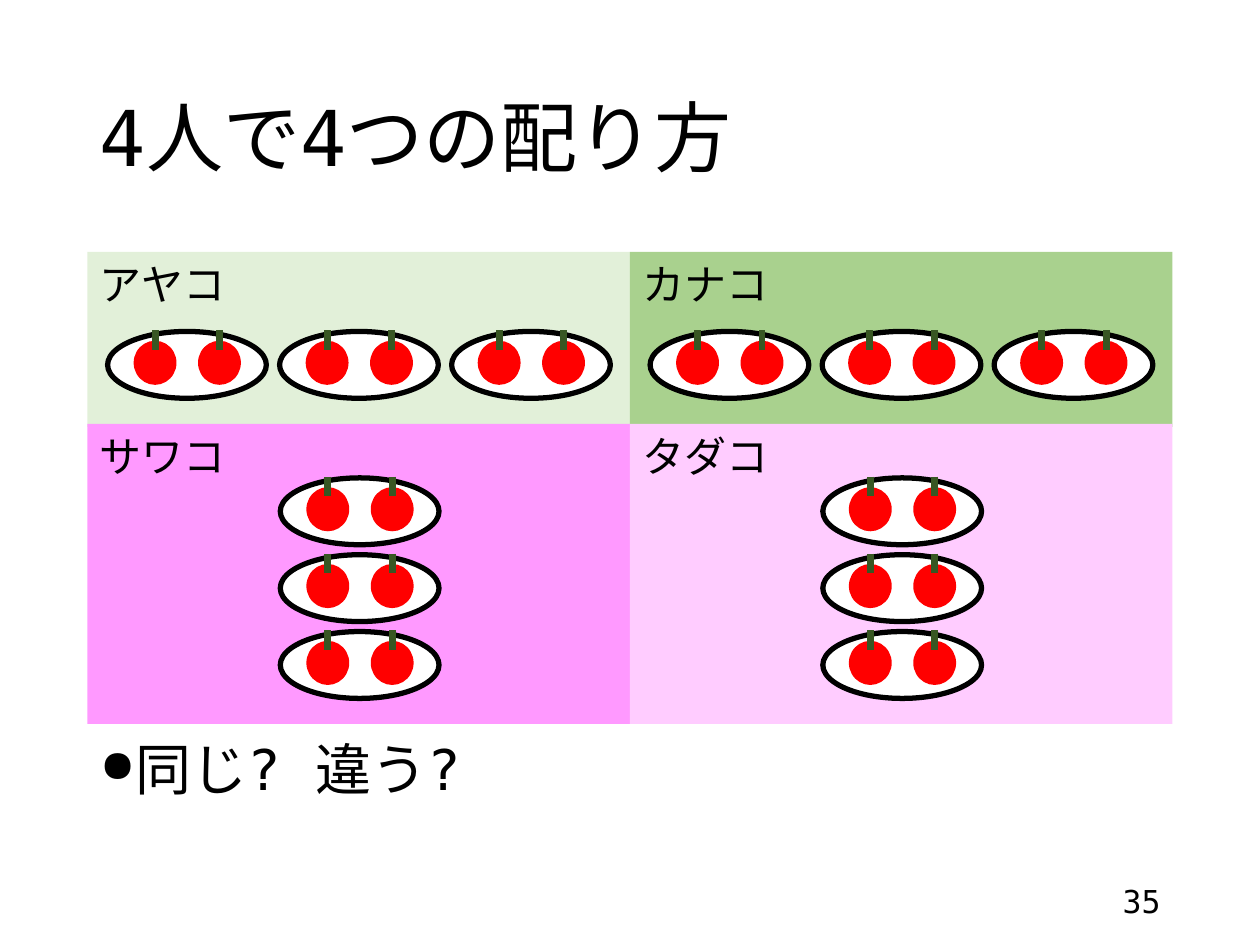
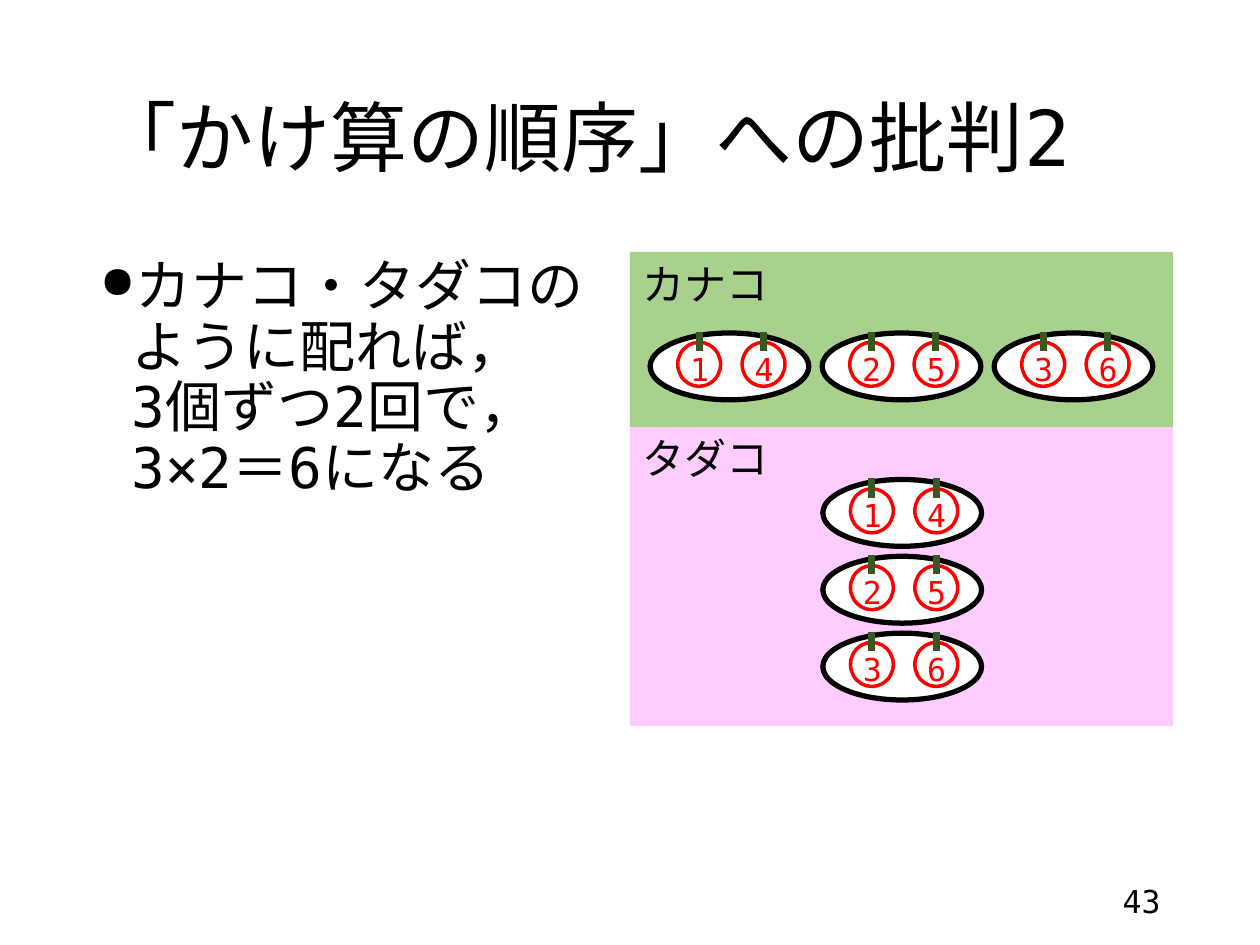
import pptx
import pptx.util
import pptx.dml.color
import pptx.enum.lang
import pptx.enum.shapes
import pptx.enum.text
import pptx.oxml
import pptx.oxml.ns

Pt = pptx.util.Pt
SHAPE = pptx.enum.shapes.MSO_SHAPE
ALIGN = pptx.enum.text.PP_ALIGN
ANCHOR = pptx.enum.text.MSO_ANCHOR

FONT = "DejaVu Sans Mono"
BLACK, WHITE, RED, STEM_GREEN = "000000", "FFFFFF", "FF0000", "385723"
MARGIN, CONTENT_WIDTH = 50, 620
PANEL_WIDTH = CONTENT_WIDTH / 2
PLATE_WIDTH, PLATE_HEIGHT = 90.7, 38.2
APPLE_WIDTH, APPLE_HEIGHT = 24.5, 25.2
APPLE_GAP = 36.8

# Panel layouts: column, top, height, first plate (x, y), step between plates
ROW = dict(top=144, height=100, first=(11.5, 45.4), step=(98.3, 0))
STACK = dict(top=242.2, height=171.4, first=(110.2, 30.9), step=(0, 43.9))

SLIDES = [
    dict(title="4人で4つの配り方", number="35",
         body="同じ? 違う?", body_top=420.5, body_height=73.4,
         numbered=False, shift=0,
         panels=[("アヤコ", "E2F0D9", 0, ROW), ("カナコ", "A9D18E", 1, ROW),
                 ("サワコ", "FF99FF", 0, STACK), ("タダコ", "FFCCFF", 1, STACK)]),
    dict(title="「かけ算の順序」への批判2", number="43",
         body="カナコ・タダコの\nように配れば，\n3個ずつ2回で，\n3×2＝6になる",
         body_top=144, body_height=342.7,
         numbered=True, shift=0.9,
         panels=[("タダコ", "FFCCFF", 1, STACK), ("カナコ", "A9D18E", 1, ROW)]),
]


def rgb(color):
    return pptx.dml.color.RGBColor.from_string(color)


def add_text(shapes, text, left, top, width, height, *, size, color=BLACK,
             align=ALIGN.LEFT, anchor=ANCHOR.TOP, wrap=True, spacing=None, bullet=False):
    box = shapes.add_textbox(Pt(left), Pt(top), Pt(width), Pt(height))
    frame = box.text_frame
    frame.word_wrap = wrap
    frame.vertical_anchor = anchor
    para = frame.paragraphs[0]
    para.text = text
    para.alignment = align
    if spacing:
        para.line_spacing = spacing
    if bullet:
        add_bullet(para)
    for span in para.runs:
        span.font.name = FONT
        span.font.size = Pt(size)
        span.font.color.rgb = rgb(color)
        span.font.language_id = pptx.enum.lang.MSO_LANGUAGE_ID.JAPANESE
        east_asian = pptx.oxml.parse_xml(
            f'<a:ea {pptx.oxml.ns.nsdecls("a")} typeface="{FONT}"/>')
        span.font._element.find(pptx.oxml.ns.qn("a:latin")).addnext(east_asian)


def add_bullet(para):
    properties = para._p.get_or_add_pPr()
    properties.set("marL", str(Pt(18)))
    properties.set("indent", str(-Pt(18)))
    for tag in ('buSzPct val="80000"', 'buChar char="●"'):
        properties.append(pptx.oxml.parse_xml(
            f'<a:{tag.replace(" ", " " + pptx.oxml.ns.nsdecls("a") + " ", 1)}/>'))


def add_figure(shapes, kind, left, top, width, height, fill=None, line=None, weight=1):
    figure = shapes.add_shape(kind, Pt(left), Pt(top), Pt(width), Pt(height))
    figure.shadow.inherit = False
    if fill:
        figure.fill.solid()
        figure.fill.fore_color.rgb = rgb(fill)
    else:
        figure.fill.background()
    if line:
        figure.line.color.rgb = rgb(line)
        figure.line.width = Pt(weight)
    else:
        figure.line.fill.background()


def add_stem(shapes, x, top, bottom):
    stem = shapes.add_connector(pptx.enum.shapes.MSO_CONNECTOR.STRAIGHT,
                                Pt(x), Pt(top), Pt(x), Pt(bottom))
    stem.line.color.rgb = rgb(STEM_GREEN)
    stem.line.width = Pt(4)
    stem._element.spPr.append(
        pptx.oxml.parse_xml(f'<a:effectLst {pptx.oxml.ns.nsdecls("a")}/>'))


def add_apple(shapes, left, plate_top, label):
    """Draw a solid apple, or an outlined one around its label."""
    top = plate_top + 5.3
    look = dict(line=RED, weight=2) if label else dict(fill=RED)
    add_figure(shapes, SHAPE.OVAL, left, top, APPLE_WIDTH, APPLE_HEIGHT, **look)
    add_stem(shapes, left + APPLE_WIDTH / 2, plate_top - 0.7, plate_top + 10.4)
    if label:
        add_text(shapes, label, left, top + 0.6, APPLE_WIDTH, 29, size=18,
                 color=RED, align=ALIGN.CENTER, wrap=False)


def add_plate(page, left, top, labels, shift):
    shapes = page.shapes.add_group_shape().shapes
    add_figure(shapes, SHAPE.OVAL, left, top, PLATE_WIDTH, PLATE_HEIGHT, WHITE, BLACK, 3)
    for index, label in enumerate(labels):
        add_apple(shapes, left + 14.9 + shift + index * APPLE_GAP, top, label)


def add_panel(page, name, color, column, layout, numbered, shift):
    left = MARGIN + column * PANEL_WIDTH
    top = layout["top"] + (shift if layout is STACK else 0)
    add_figure(page.shapes, SHAPE.RECTANGLE, left, top, PANEL_WIDTH, layout["height"],
               color, color if numbered else None, 0.5)
    add_text(page.shapes, name, left, top + (0.5 if layout is STACK else 0), 87, 36,
             size=24, wrap=False)
    first_x, first_y = layout["first"]
    step_x, step_y = layout["step"]
    for index in range(3):
        labels = (str(index + 1), str(index + 4)) if numbered else (None, None)
        add_plate(page, left + first_x + index * step_x,
                  layout["top"] + shift + first_y + index * step_y, labels, shift)


def add_page(deck, content):
    page = deck.slides.add_slide(deck.slide_layouts[6])
    add_text(page.shapes, content["title"], MARGIN, 28.8, CONTENT_WIDTH, 104.4,
             size=44, anchor=ANCHOR.MIDDLE, spacing=0.9)
    add_text(page.shapes, content["body"], MARGIN, content["body_top"], CONTENT_WIDTH,
             content["body_height"], size=32, spacing=0.9, bullet=True)
    add_text(page.shapes, content["number"], 508.3, 500.5, 162, 28.8,
             size=18, align=ALIGN.RIGHT, anchor=ANCHOR.MIDDLE)
    for panel in content["panels"]:
        add_panel(page, *panel, content["numbered"], content["shift"])


def main():
    deck = pptx.Presentation()
    deck.slide_width, deck.slide_height = Pt(720), Pt(540)
    for content in SLIDES:
        add_page(deck, content)
    deck.save("out.pptx")


if __name__ == "__main__":
    main()
